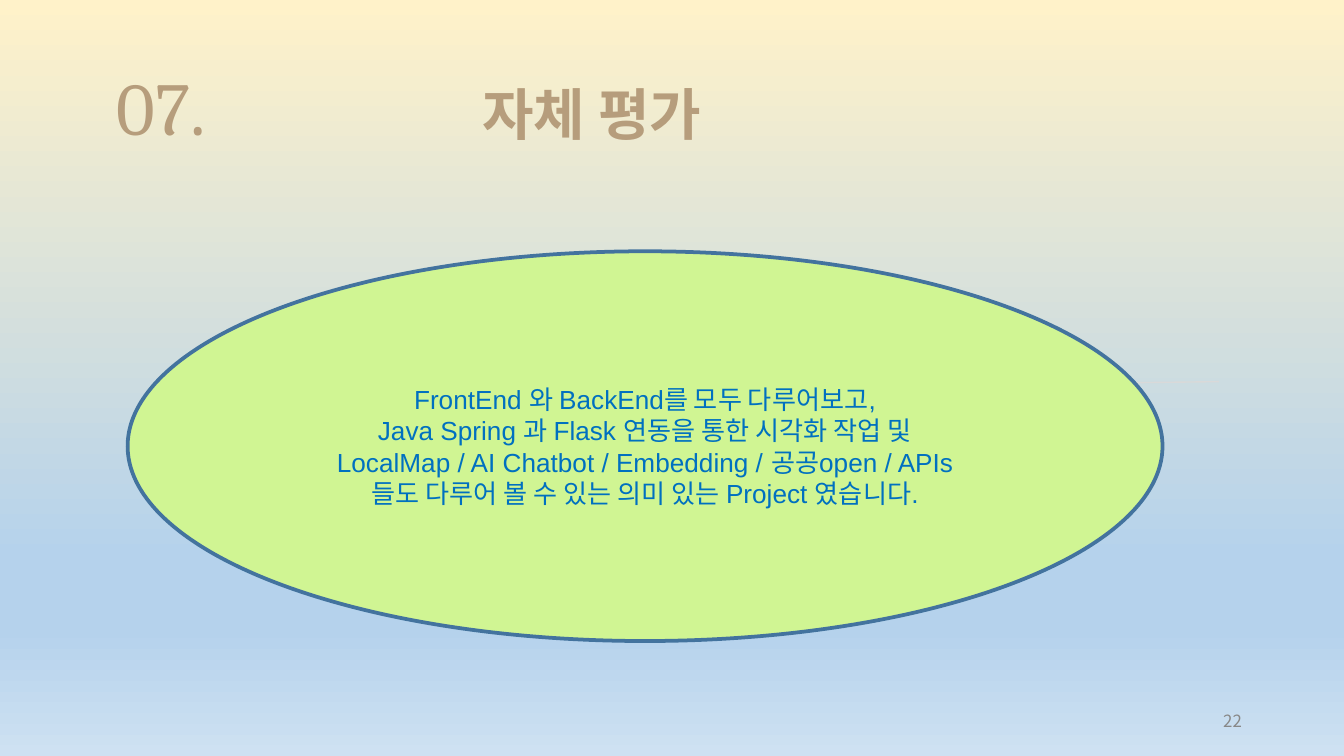
from lxml import etree
from pptx import Presentation
from pptx.dml.color import RGBColor
from pptx.enum import shapes, text
from pptx.oxml import ns
from pptx.util import Inches, Pt

NUMBER = "07."
TITLE = "자체 평가"
PAGE_NUMBER = "22"
REVIEW = [
    "FrontEnd 와 BackEnd를 모두 다루어보고,",
    "Java Spring 과 Flask 연동을 통한 시각화 작업 및",
    "LocalMap / AI Chatbot / Embedding / 공공open / APIs",
    "들도 다루어 볼 수 있는 의미 있는 Project 였습니다.",
]
SKY = [(0, "FFF2C9"), (74, "B5D2EC"), (83, "B5D2EC"), (100, "CEE1F2")]
TAN = "B69D7C"


def color(value):
    return RGBColor.from_string(value)


def paint_background(page):
    fill = page.background.fill
    fill.gradient()
    fill.gradient_angle = 270
    stops = page.background._cSld.find(".//" + ns.qn("a:gsLst"))
    for stop in list(stops):
        stops.remove(stop)
    for percent, shade in SKY:
        stop = etree.SubElement(stops, ns.qn("a:gs"), pos=str(percent * 1000))
        etree.SubElement(stop, ns.qn("a:srgbClr"), val=shade)


def write(shape, lines, size, font, shade, align=text.PP_ALIGN.LEFT,
          anchor=text.MSO_ANCHOR.TOP, margins=(0.07, 0.04, 0.07, 0.04), bold=False):
    """Fill a shape with one paragraph per line; margins run left, top, right, bottom."""
    frame = shape.text_frame
    frame.word_wrap = True
    frame.auto_size = text.MSO_AUTO_SIZE.NONE
    frame.vertical_anchor = anchor
    (frame.margin_left, frame.margin_top,
     frame.margin_right, frame.margin_bottom) = map(Inches, margins)
    for index, line in enumerate(lines):
        para = frame.add_paragraph() if index else frame.paragraphs[0]
        para.alignment = align
        span = para.add_run()
        span.text = line
        span.font.size = Pt(size)
        span.font.name = font
        span.font.bold = bold
        span.font.color.rgb = color(shade)


def add_text_box(page, left, top, width, height):
    return page.shapes.add_textbox(*map(Inches, (left, top, width, height)))


def main():
    deck = Presentation()
    deck.slide_width = Inches(10)
    deck.slide_height = deck.slide_width * 9 // 16
    page = deck.slides.add_slide(deck.slide_layouts[5])
    paint_background(page)

    number = add_text_box(page, 0.77, 0.35, 0.96, 0.88)
    write(number, [NUMBER], 40, "Cambria", TAN, margins=(0.1,) * 4)

    rule = page.shapes.add_connector(
        shapes.MSO_CONNECTOR.STRAIGHT, *map(Inches, (2.49, 2.92, 9.07, 2.84)))
    rule.line.color.rgb = color("D9D9D9")
    rule.line.width = Pt(0.75)
    etree.SubElement(rule._element.spPr, ns.qn("a:effectLst"))

    page_number = add_text_box(page, 7.06, 5.21, 2.25, 0.3)
    write(page_number, [PAGE_NUMBER], 9, "Noto Sans CJK KR", "888888",
          text.PP_ALIGN.RIGHT, text.MSO_ANCHOR.MIDDLE)

    title = page.shapes.title
    title.left, title.top, title.width, title.height = map(Inches, (2.57, 0.55, 4.01, 0.48))
    write(title, [TITLE], 30, "Cambria", TAN, margins=(1.02, 0.04, 0.07, 0.04), bold=True)

    oval = page.shapes.add_shape(
        shapes.MSO_SHAPE.OVAL, *map(Inches, (0.95, 1.87, 7.7, 2.9)))
    oval.shadow.inherit = False
    oval.fill.solid()
    oval.fill.fore_color.rgb = color("D0F593")
    oval.line.color.rgb = color("43739E")
    oval.line.width = Pt(2)
    write(oval, REVIEW, 14, "Arial", "0070C0", text.PP_ALIGN.CENTER,
          text.MSO_ANCHOR.MIDDLE, (0.1, 0.05, 0.1, 0.05))

    deck.save("out.pptx")


if __name__ == "__main__":
    main()
